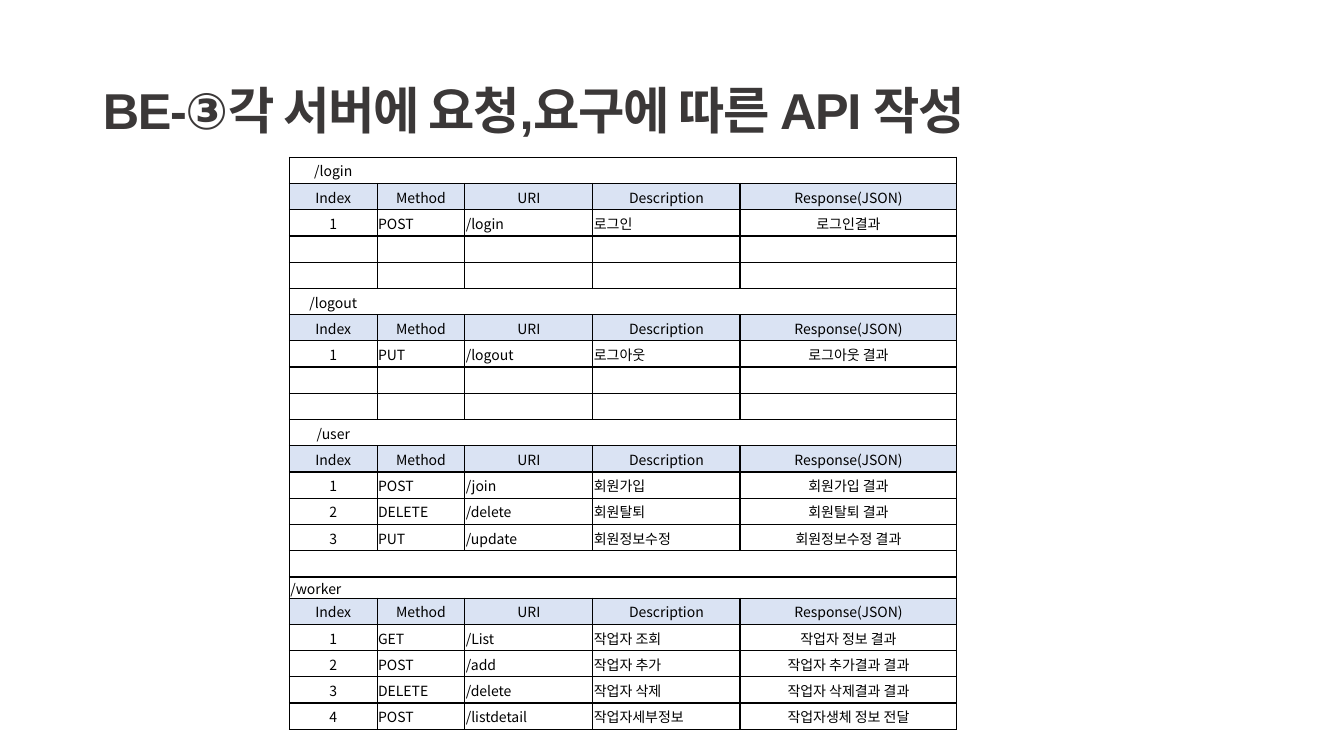
from lxml import etree
from pptx import Presentation
from pptx.dml.color import RGBColor
from pptx.enum.text import MSO_ANCHOR, MSO_AUTO_SIZE, PP_ALIGN
from pptx.oxml.ns import qn
from pptx.util import Inches, Pt

LEFT, CENTER = PP_ALIGN.LEFT, PP_ALIGN.CENTER
MIDDLE = MSO_ANCHOR.MIDDLE
NO_AUTOFIT = MSO_AUTO_SIZE.NONE
TITLE_ONLY = 5

COLORS = {"title": "3B3838", "text": "000000", "line": "000000", "header": "DAE3F3"}
TITLE_FONT, TABLE_FONT = "Arial", "Noto Sans CJK KR"

COLUMN_SHARES = [6.53, 6.53, 9.53, 10.95, 16.13]
ROW_SHARE, WORKER_ROW_SHARE = 3.47, 1.07
HEADERS = ["Index", "Method", "URI", "Description", "Response(JSON)"]
BLANK = [""] * len(HEADERS)
ENDPOINTS = {
    "/login": [["1", "POST", "/login", "로그인", "로그인결과"], BLANK, BLANK],
    "/logout": [["1", "PUT", "/logout", "로그아웃", "로그아웃 결과"], BLANK, BLANK],
    "/user": [
        ["1", "POST", "/join", "회원가입", "회원가입 결과"],
        ["2", "DELETE", "/delete", "회원탈퇴", "회원탈퇴 결과"],
        ["3", "PUT", "/update", "회원정보수정", "회원정보수정 결과"],
    ],
    "/worker": [
        ["1", "GET", "/List", "작업자 조회", "작업자 정보 결과"],
        ["2", "POST", "/add", "작업자 추가", "작업자 추가결과 결과"],
        ["3", "DELETE", "/delete", "작업자 삭제", "작업자 삭제결과 결과"],
        ["4", "POST", "/listdetail", "작업자세부정보", "작업자생체 정보 전달"],
    ],
}


class ApiSlide:
    def __init__(self, deck):
        self.width, self.height = deck.slide_width, deck.slide_height
        self.slide = deck.slides.add_slide(deck.slide_layouts[TITLE_ONLY])

    def x(self, percent):
        return round(self.width * percent / 100)

    def y(self, percent):
        return round(self.height * percent / 100)

    def style(self, paragraph, font, size, color, align):
        paragraph.alignment = align
        paragraph.font.name = font
        paragraph.font.size = Pt(size)
        paragraph.font.color.rgb = RGBColor.from_string(COLORS[color])

    def title(self, text, left, top, width, height):
        heading = self.slide.shapes.title
        heading.left, heading.top = self.x(left), self.y(top)
        heading.width, heading.height = self.x(width), self.y(height)
        frame = heading.text_frame
        frame.text = text
        frame.word_wrap = True
        frame.auto_size = NO_AUTOFIT
        frame.vertical_anchor = MIDDLE
        paragraph = frame.paragraphs[0]
        self.style(paragraph, TITLE_FONT, 36, "title", LEFT)
        paragraph.font.bold = True
        paragraph.line_spacing = 0.9
        paragraph.runs[0]._r.get_or_add_rPr().set("spc", "-100")

    def borders(self, cell, sides):
        properties = cell._tc.get_or_add_tcPr()
        for side in "LRTB":
            line = etree.SubElement(properties, qn(f"a:ln{side}"), w=str(Pt(1)))
            if side in sides:
                fill = etree.SubElement(line, qn("a:solidFill"))
                etree.SubElement(fill, qn("a:srgbClr"), val=COLORS["line"])
            else:
                etree.SubElement(line, qn("a:noFill"))

    def cell(self, cell, text, align, sides="LRTB", fill=None):
        self.borders(cell, sides)
        if fill:
            cell.fill.solid()
            cell.fill.fore_color.rgb = RGBColor.from_string(COLORS[fill])
        else:
            cell.fill.background()
        cell.vertical_anchor = MIDDLE
        cell.margin_left = cell.margin_right = cell.margin_top = Inches(0.01)
        cell.margin_bottom = 0
        cell.text = text
        paragraph = cell.text_frame.paragraphs[0]
        self.style(paragraph, TABLE_FONT, 10, "text", align)
        if not text:
            ending = etree.SubElement(paragraph._p, qn("a:endParaRPr"), sz="1000")
            etree.SubElement(ending, qn("a:latin"), typeface=TABLE_FONT)

    def table(self, rows, left, top):
        heights = [WORKER_ROW_SHARE if values[0] == "/worker" else ROW_SHARE
                   for kind, values in rows]
        frame = self.slide.shapes.add_table(
            len(rows), len(COLUMN_SHARES), self.x(left), self.y(top),
            self.x(sum(COLUMN_SHARES)), self.y(sum(heights)))
        grid = frame.table
        grid.first_row = grid.horz_banding = False
        for column, share in zip(grid.columns, COLUMN_SHARES):
            column.width = self.x(share)
        last = len(COLUMN_SHARES) - 1
        for r, (kind, values) in enumerate(rows):
            grid.rows[r].height = self.y(heights[r])
            for c, text in enumerate(values):
                sides, align = "LRTB", CENTER
                if kind == "section":
                    sides = "TB" + ("L" if c == 0 else "") + ("R" if c == last else "")
                if text == "/worker" or (kind == "entry" and 0 < c < last):
                    align = LEFT
                self.cell(grid.cell(r, c), text, align, sides,
                          "header" if kind == "header" else None)
            if kind == "gap":
                grid.cell(r, 0).merge(grid.cell(r, last))


def table_rows():
    rows = []
    for section, entries in ENDPOINTS.items():
        if section == "/worker":
            rows.append(("gap", BLANK))
        rows.append(("section", [section] + BLANK[1:]))
        rows.append(("header", HEADERS))
        rows.extend(("entry", entry) for entry in entries)
    return rows


def main():
    deck = Presentation()
    deck.slide_width, deck.slide_height = Inches(13.33), Inches(7.5)
    page = ApiSlide(deck)
    page.title("BE-③각 서버에 요청,요구에 따른 API 작성", 6.9, 5.33, 86.25, 19.33)
    page.table(table_rows(), 21.53, 20.8)
    deck.save("out.pptx")


if __name__ == "__main__":
    main()
